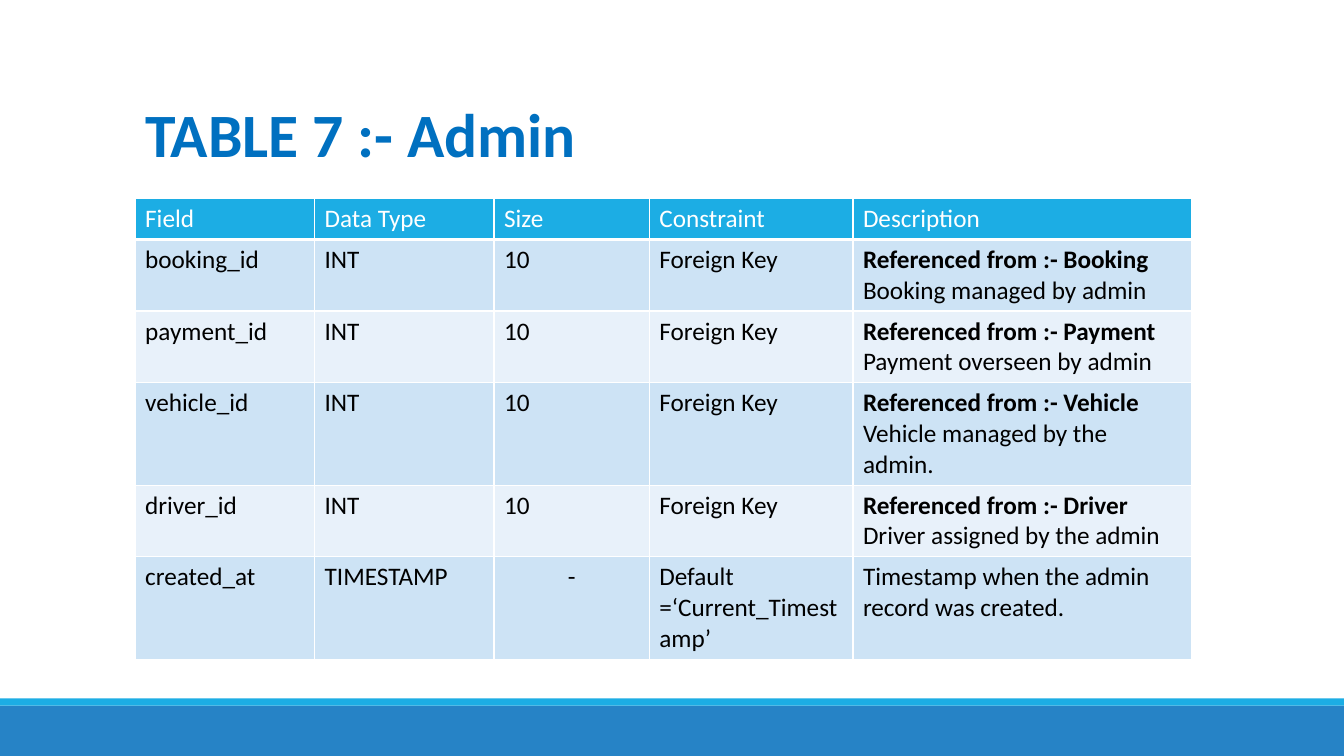
from lxml.etree import SubElement
from pptx import Presentation
from pptx.dml.color import RGBColor
from pptx.enum.shapes import MSO_SHAPE
from pptx.enum.text import MSO_ANCHOR, PP_ALIGN
from pptx.oxml.ns import qn
from pptx.util import Inches, Pt

# Content
TITLE = "TABLE 7 :- Admin"
HEADER = ("Field", "Data Type", "Size", "Constraint", "Description")
REFERENCES = [
    ("booking_id", "Booking", "Booking managed by admin"),
    ("payment_id", "Payment", "Payment overseen by admin"),
    ("vehicle_id", "Vehicle", "Vehicle managed by the admin."),
    ("driver_id", "Driver", "Driver assigned by the admin"),
]
CREATED_AT = ("created_at", "TIMESTAMP", "-", "Default =‘Current_Timestamp’",
              "Timestamp when the admin record was created.")
ROWS = [
    HEADER,
    *((field, "INT", "10", "Foreign Key", f"Referenced from :- {source}\n{note}")
      for field, source, note in REFERENCES),
    CREATED_AT,
]

# Format and layout, in inches
COLORS = {"title": "0070C0", "header": "1CADE4", "odd": "CDE3F5", "even": "E8F1FA",
          "border": "FFFFFF", "text": "000000", "footer": "2683C6"}
WIDTH, HEIGHT = 13.33, 7.5
LEFT, TITLE_TOP, TITLE_HEIGHT, TABLE_TOP = 1.34, 0.9, 0.84, 1.97
COLUMNS = (1.78, 1.78, 1.54, 2.02, 3.36)
LINES_PER_ROW = (1, 2, 2, 3, 2, 3)
LINE_HEIGHT, ROW_PADDING = 0.305, 0.1
BARS = [("footer", 7, 0.5), ("header", 6.93, 0.07)]


def color(name):
    return RGBColor.from_string(COLORS[name])


def set_font(paragraph, color_name, **values):
    for name, value in {"name": "Calibri", **values}.items():
        setattr(paragraph.font, name, value)
    paragraph.font.color.rgb = color(color_name)


def set_borders(cell, row):
    """White lines; a thick one between the header and the body."""
    properties = cell._tc.get_or_add_tcPr()
    widths = {"lnL": 1, "lnR": 1, "lnT": 3 if row == 1 else 1, "lnB": 3 if row == 0 else 1}
    for side, width in widths.items():
        line = SubElement(properties, qn(f"a:{side}"), w=str(Pt(width)))
        fill = SubElement(line, qn("a:solidFill"))
        SubElement(fill, qn("a:srgbClr"), val=COLORS["border"])


def add_bars(slide):
    for color_name, top, height in BARS:
        bar = slide.shapes.add_shape(MSO_SHAPE.RECTANGLE, 0, Inches(top),
                                     Inches(WIDTH), Inches(height))
        bar.shadow.inherit = False
        bar.fill.solid()
        bar.fill.fore_color.rgb = color(color_name)
        bar.line.fill.background()


def add_title(slide):
    title = slide.shapes.title
    title.left, title.top = Inches(LEFT), Inches(TITLE_TOP)
    title.width, title.height = Inches(sum(COLUMNS)), Inches(TITLE_HEIGHT)
    title.text_frame.text = TITLE
    title.text_frame.vertical_anchor = MSO_ANCHOR.TOP
    paragraph = title.text_frame.paragraphs[0]
    paragraph.alignment = PP_ALIGN.LEFT
    set_font(paragraph, "title", size=Pt(44), bold=True)


def add_field_table(slide):
    heights = [ROW_PADDING + LINE_HEIGHT * lines for lines in LINES_PER_ROW]
    table = slide.shapes.add_table(len(ROWS), len(COLUMNS), Inches(LEFT), Inches(TABLE_TOP),
                                   Inches(sum(COLUMNS)), Inches(sum(heights))).table
    for column, width in zip(table.columns, COLUMNS):
        column.width = Inches(width)
    for row, (texts, height) in enumerate(zip(ROWS, heights)):
        table.rows[row].height = Inches(height)
        fill_name = "header" if row == 0 else "odd" if row % 2 else "even"
        for column, text in enumerate(texts):
            cell = table.cell(row, column)
            set_borders(cell, row)
            cell.fill.solid()
            cell.fill.fore_color.rgb = color(fill_name)
            cell.text_frame.text = text
            for paragraph in cell.text_frame.paragraphs:
                if text == "-":
                    paragraph.alignment = PP_ALIGN.CENTER
                set_font(paragraph, "text" if row else "border", size=Pt(18),
                         bold=paragraph.text.startswith("Referenced"))


def main():
    presentation = Presentation()
    presentation.slide_width, presentation.slide_height = Inches(WIDTH), Inches(HEIGHT)
    slide = presentation.slides.add_slide(presentation.slide_layouts.get_by_name("Title Only"))
    add_bars(slide)
    add_field_table(slide)
    add_title(slide)
    presentation.save("out.pptx")


if __name__ == "__main__":
    main()
